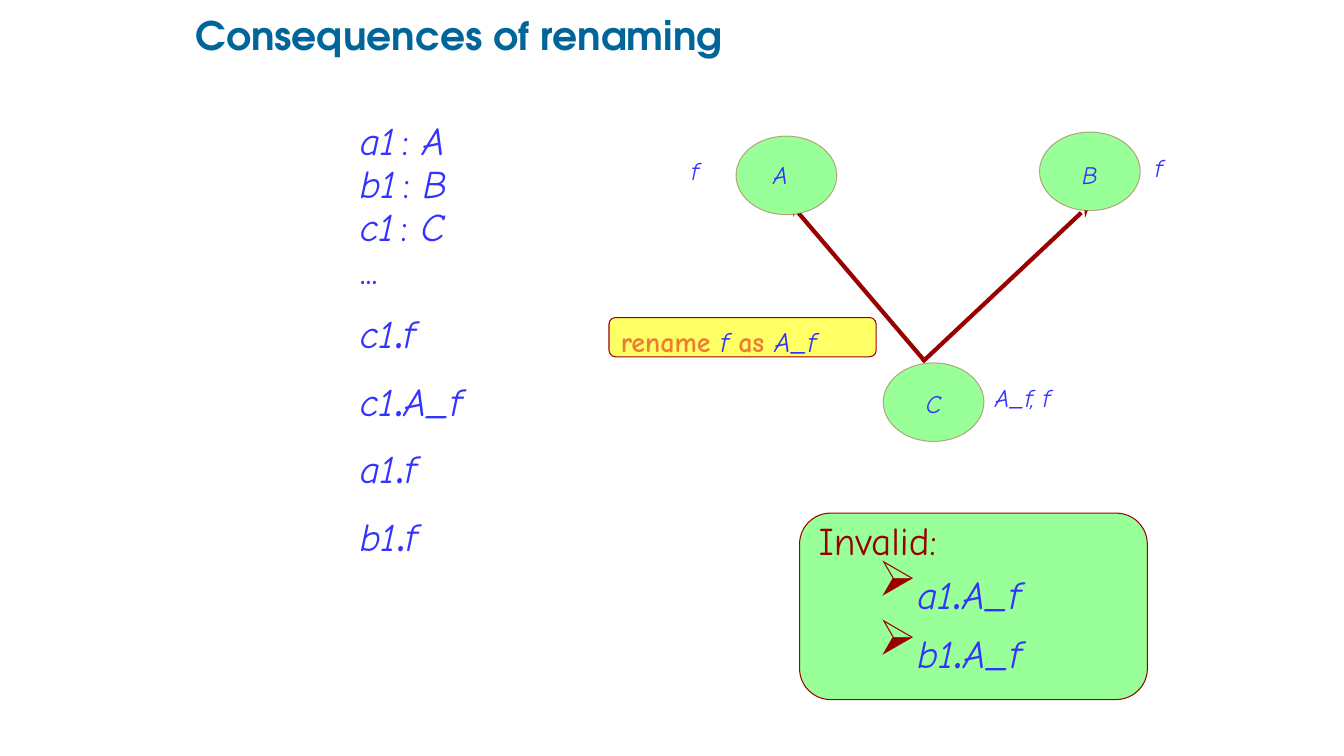
from lxml.etree import SubElement
from pptx import Presentation
from pptx.dml.color import RGBColor
from pptx.enum.shapes import MSO_CONNECTOR, MSO_SHAPE
from pptx.enum.text import MSO_ANCHOR, PP_ALIGN
from pptx.oxml.ns import qn
from pptx.util import Inches, Pt

HAND = "Comic Neue"
BLUE, RED, GREEN, YELLOW = "3333FF", "990000", "99FF99", "FFFF66"


def paint(text):
    return RGBColor.from_string(text)


def node(root, tag, **attrs):
    return SubElement(root, qn(tag), attrs)


class Slide:
    # Run styles, by role
    styles = {
        "title": dict(name="TeX Gyre Adventor", size=28, bold=True, color="006699"),
        "code": dict(name=HAND, size=28, italic=True, color=BLUE),
        "gap": dict(name=HAND, size=14, italic=True, color=BLUE),
        "plain": dict(name=HAND, size=28, color=BLUE),
        "dot": dict(name=HAND, size=44, color=BLUE),
        "label": dict(name=HAND, size=18, italic=True, color=BLUE),
        "name": dict(name=HAND, size=20, italic=True, color=BLUE),
        "key": dict(name=HAND, size=20, bold=True, color="ED7D31"),
        "head": dict(name=HAND, size=28, color=RED),
    }

    def __init__(self, deck):
        self.page = deck.slides.add_slide(deck.slide_layouts[6])

    def para(self, frame, runs, first=False, bullet=None, **form):
        para = frame.paragraphs[0] if first else frame.add_paragraph()
        for key, value in form.items():
            setattr(para, key, value)
        if bullet:
            props = para._p.get_or_add_pPr()
            props.set("marL", str(Inches(0.91)))
            props.set("indent", str(Inches(-0.32)))
            tint = node(props, "a:buClr")
            node(tint, "a:srgbClr", val=RED)
            node(props, "a:buSzPct", val="126000")
            node(props, "a:buChar", char=bullet)
        for text, role in runs:
            run = para.add_run()
            run.text = text
            for key, value in self.styles[role].items():
                if key == "color":
                    run.font.color.rgb = paint(value)
                else:
                    setattr(run.font, key, Pt(value) if key == "size" else value)

    def fit(self, frame, pad=(0.1, 0.05), anchor=MSO_ANCHOR.TOP):
        side, edge = map(Inches, pad)
        form = dict(word_wrap=True, vertical_anchor=anchor,
                    margin_left=side, margin_right=side,
                    margin_top=edge, margin_bottom=edge)
        for key, value in form.items():
            setattr(frame, key, value)
        return frame

    def text(self, box, **form):
        shape = self.page.shapes.add_textbox(*map(Inches, box))
        return self.fit(shape.text_frame, **form)

    def label(self, box, text, **form):
        self.para(self.text(box), [(text, "label")], first=True, **form)

    def shape(self, kind, box, fill, alpha=None):
        shape = self.page.shapes.add_shape(kind, *map(Inches, box))
        shape.shadow.inherit = False
        shape.fill.solid()
        shape.fill.fore_color.rgb = paint(fill)
        shape.line.color.rgb = paint(RED)
        shape.line.width = Pt(0.75)
        if alpha:
            tint = shape.line._ln.find(".//" + qn("a:srgbClr"))
            node(tint, "a:alpha", val=str(alpha * 1000))
        return self.fit(shape.text_frame)

    def arrow(self, start, end):
        line = self.page.shapes.add_connector(
            MSO_CONNECTOR.STRAIGHT, *map(Inches, start + end))
        line.line.color.rgb = paint(RED)
        line.line.width = Pt(3)
        node(line.line._ln, "a:tailEnd", type="stealth")
        node(line._element.spPr, "a:effectLst")


def call(owner, member):
    return [(owner, "code"), (".", "dot"), (member, "code")]


def main():
    deck = Presentation()
    deck.slide_width, deck.slide_height = Inches(13.33), Inches(7.5)
    slide = Slide(deck)

    # Title
    frame = slide.text((1.94, 0.13, 8.69, 0.48), pad=(0, 0),
                       anchor=MSO_ANCHOR.MIDDLE)
    slide.para(frame, [("Consequences of renaming", "title")], first=True,
               line_spacing=0.9)

    # Declarations, then calls
    frame = slide.text((3.47, 1.21, 2.56, 4.36))
    for kind in "ABC":
        runs = [(kind.lower() + "1", "code"), (" ", "gap"),
                (": ", "plain"), (kind, "code")]
        first = kind == "A"
        slide.para(frame, runs, first=first, line_spacing=0.75,
                   space_before=Pt(0 if first else 5.6))
    slide.para(frame, [("...", "plain")], line_spacing=0.75, space_before=Pt(5.6))
    for owner, member in (("c1", "f"), ("c1", "A_f"), ("a1", "f"), ("b1", "f")):
        slide.para(frame, call(owner, member), line_spacing=0.75,
                   space_before=Pt(8.8))

    # Inheritance arrows
    slide.arrow((9.15, 3.59), (10.81, 2.03))
    slide.arrow((9.17, 3.58), (7.84, 2.02))

    # Rename clause
    frame = slide.shape(MSO_SHAPE.ROUNDED_RECTANGLE, (6.04, 3.15, 2.65, 0.39), YELLOW)
    slide.para(frame, [("rename ", "key"), ("f ", "name"),
                       ("as ", "key"), ("A_f", "name")],
               first=True, alignment=PP_ALIGN.LEFT)

    # Classes and their names
    for left, top in ((8.76, 3.6), (10.31, 1.31), (7.3, 1.35)):
        slide.shape(MSO_SHAPE.OVAL, (left, top, 1, 0.78), GREEN, alpha=34)
    slide.label((8.43, 3.8, 1.66, 0.39), "C", alignment=PP_ALIGN.CENTER)
    slide.label((7.57, 1.53, 1, 0.39), "A")
    slide.label((10.31, 1.53, 1, 0.3), "B", alignment=PP_ALIGN.CENTER)

    # Features beside the classes
    for box, text in (((6.76, 1.56, 0.66, 0.39), "f"),
                      ((9.77, 3.81, 1.33, 0.39), "A_f, f"),
                      ((11.36, 1.53, 0.66, 0.35), "f")):
        slide.label(box, text, line_spacing=0.75)

    # Invalid calls
    frame = slide.shape(MSO_SHAPE.ROUNDED_RECTANGLE, (7.93, 5.09, 3.45, 1.85), GREEN)
    slide.para(frame, [("Invalid:", "head")], first=True,
               line_spacing=0.75, alignment=PP_ALIGN.LEFT)
    for owner in ("a1", "b1"):
        slide.para(frame, call(owner, "A_f"), bullet="➢", level=1,
                   line_spacing=0.8, alignment=PP_ALIGN.LEFT)

    deck.save("out.pptx")


if __name__ == "__main__":
    main()
